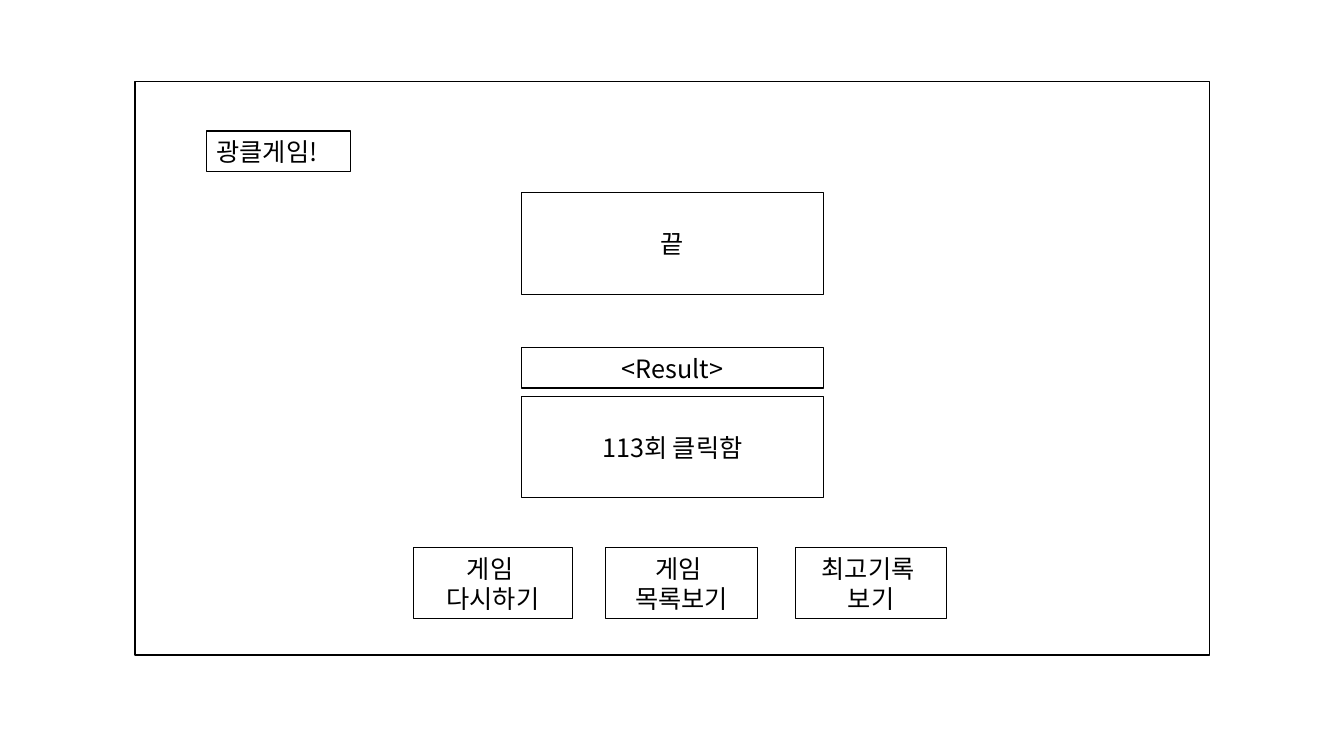
import dataclasses

import lxml.etree
import pptx
import pptx.dml.color
import pptx.enum.shapes
import pptx.enum.text
import pptx.oxml.ns
import pptx.util


@dataclasses.dataclass(frozen=True)
class Theme:
    font: str = "Noto Sans CJK KR"
    ink: str = "000000"
    paper: str = "FFFFFF"
    text_size: float = 18
    frame_line: float = 1
    box_line: float = 0.75


THEME = Theme()
WIDTH = pptx.util.Inches(13.33)
HEIGHT = pptx.util.Inches(7.5)
ALIGN = pptx.enum.text.PP_ALIGN

# Positions and sizes are percentages of the slide's width and height.
FRAME = (10.05, 10.8, 79.95, 75.87)
TITLE_LEFT, TITLE_TOP, TITLE_WIDTH = 15.38, 17.33, 10.73
PANEL_LEFT, PANEL_WIDTH = 38.78, 22.5
LINE_HEIGHT, PANEL_HEIGHT = 5.33, 13.47
BUTTON_TOP, BUTTON_HEIGHT = 72.4, 9.47

PANELS = (
    ("끝", 25.47, PANEL_HEIGHT),
    ("113회 클릭함", 52.4, PANEL_HEIGHT),
    ("<Result>", 46, LINE_HEIGHT),
)
BUTTONS = (
    ("게임 \n다시하기", 30.75, 11.85),
    ("게임 \n목록보기", 45.08, 11.25),
    ("최고기록 \n보기", 59.18, 11.25),
)


def rgb(value):
    return pptx.dml.color.RGBColor.from_string(value)


def add_box(slide, left, top, width, height, line=THEME.box_line, fill=None):
    sp = slide.shapes.add_shape(
        pptx.enum.shapes.MSO_SHAPE.RECTANGLE,
        round(WIDTH * left / 100), round(HEIGHT * top / 100),
        round(WIDTH * width / 100), round(HEIGHT * height / 100),
    )
    sp.shadow.inherit = False
    if fill:
        sp.fill.solid()
        sp.fill.fore_color.rgb = rgb(fill)
    else:
        sp.fill.background()
    sp.line.color.rgb = rgb(THEME.ink)
    sp.line.width = pptx.util.Pt(line)
    return sp


def write_text(sp, text, align=ALIGN.CENTER, size=THEME.text_size,
               color=THEME.ink, font=THEME.font):
    """Write one paragraph per line of text, centred vertically."""
    tf = sp.text_frame
    tf.word_wrap = True
    tf.vertical_anchor = pptx.enum.text.MSO_ANCHOR.MIDDLE
    tf.text = text
    for p in tf.paragraphs:
        p.alignment = align
        for r in p.runs:
            r.font.size = pptx.util.Pt(size)
            r.font.color.rgb = rgb(color)
            r.font.name = font
            lxml.etree.SubElement(
                r.font._element, pptx.oxml.ns.qn("a:ea"), typeface=font)


def main():
    prs = pptx.Presentation()
    prs.slide_width, prs.slide_height = WIDTH, HEIGHT
    slide = prs.slides.add_slide(prs.slide_layouts[6])

    add_box(slide, *FRAME, line=THEME.frame_line, fill=THEME.paper)
    for text, top, height in PANELS:
        write_text(add_box(slide, PANEL_LEFT, top, PANEL_WIDTH, height), text)
    title = add_box(slide, TITLE_LEFT, TITLE_TOP, TITLE_WIDTH, LINE_HEIGHT)
    write_text(title, "광클게임!", align=ALIGN.LEFT)
    for text, left, width in BUTTONS:
        write_text(add_box(slide, left, BUTTON_TOP, width, BUTTON_HEIGHT), text)

    prs.save("out.pptx")


if __name__ == "__main__":
    main()
